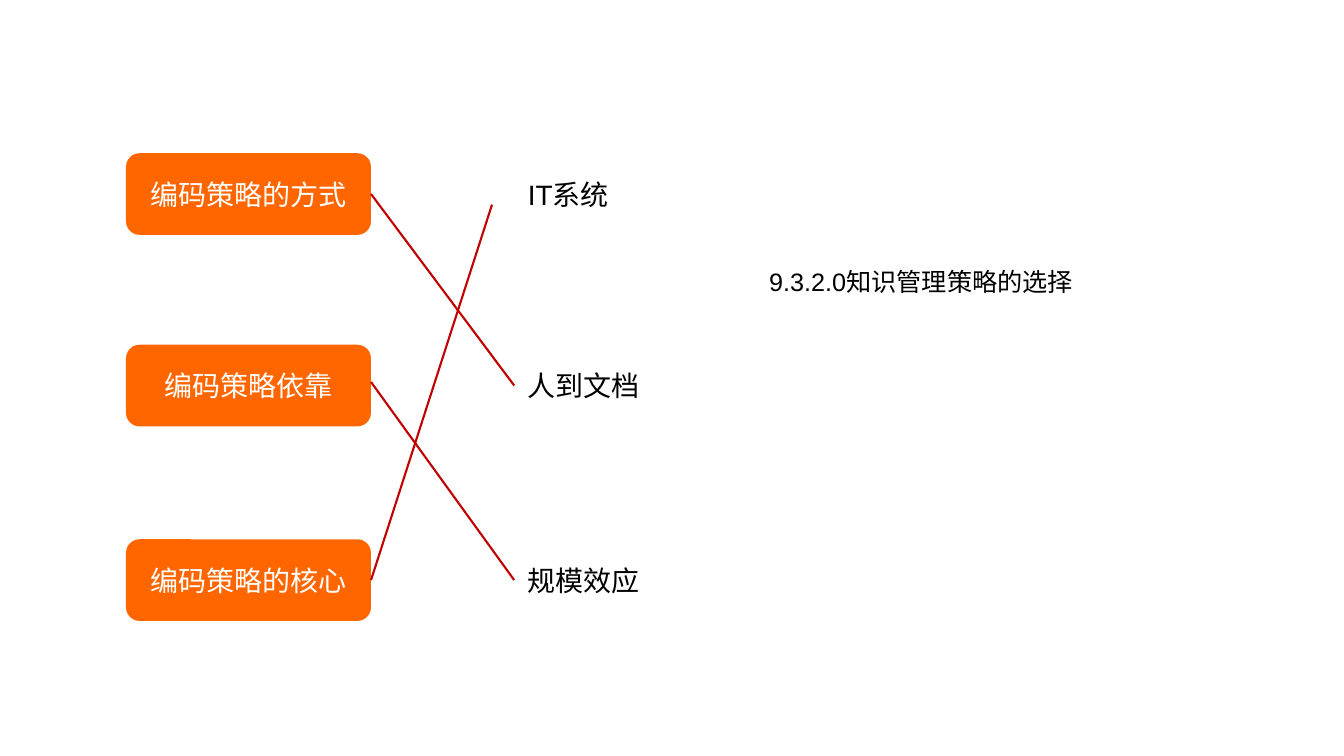
import lxml.etree
import pptx
import pptx.dml.color
import pptx.enum.shapes
import pptx.enum.text
import pptx.oxml.ns
import pptx.util
from pptx.util import Inches

ORANGE = pptx.dml.color.RGBColor(0xFF, 0x66, 0x00)
DARK_RED = pptx.dml.color.RGBColor(0xC0, 0x00, 0x00)
WHITE = pptx.dml.color.RGBColor(0xFF, 0xFF, 0xFF)
BLACK = pptx.dml.color.RGBColor(0x00, 0x00, 0x00)
LATIN_FONT = "Arial"
CHINESE_FONT = "Noto Sans CJK JP"
ALIGN = pptx.enum.text.PP_ALIGN
ANCHOR = pptx.enum.text.MSO_ANCHOR

# Strategy, answer, answer width, vertical centre of the row
ROWS = [
    ("编码策略的方式", "IT系统", 7.15, 1.925),
    ("编码策略依靠", "人到文档", 6.59, 3.825),
    ("编码策略的核心", "规模效应", 6.59, 5.755),
]
STRATEGY_LEFT, STRATEGY_WIDTH, STRATEGY_HEIGHT = 1.25, 2.43, 0.81
ANSWER_LEFT, ANSWER_HEIGHT = 5.1, 0.75
LEFT_SIDE, RIGHT_SIDE = 1, 3


def write_text(shape, text, size=20, color=BLACK, align=ALIGN.LEFT, anchor=ANCHOR.MIDDLE):
    frame = shape.text_frame
    frame.word_wrap = True
    frame.vertical_anchor = anchor
    paragraph = frame.paragraphs[0]
    paragraph.alignment = align
    run = paragraph.add_run()
    run.text = text
    run.font.size = pptx.util.Pt(size)
    run.font.color.rgb = color
    run.font.name = LATIN_FONT
    properties = run._r.get_or_add_rPr()
    east_asian = lxml.etree.SubElement(properties, pptx.oxml.ns.qn("a:ea"))
    east_asian.set("typeface", CHINESE_FONT)


def add_rounded_box(slide, left, middle, width, height, text, fill=None, **text_format):
    shape = slide.shapes.add_shape(
        pptx.enum.shapes.MSO_SHAPE.ROUNDED_RECTANGLE,
        Inches(left), Inches(middle - height / 2), Inches(width), Inches(height),
    )
    shape.shadow.inherit = False
    shape.line.fill.background()
    if fill is None:
        shape.fill.background()
    else:
        shape.fill.solid()
        shape.fill.fore_color.rgb = fill
    write_text(shape, text, **text_format)
    return shape


def add_match_line(slide, start, end, strategy=None, answer=None):
    """Draw a line, joined to the strategy and answer boxes that are given."""
    line = slide.shapes.add_connector(
        pptx.enum.shapes.MSO_CONNECTOR.STRAIGHT,
        Inches(start[0]), Inches(start[1]), Inches(end[0]), Inches(end[1]),
    )
    line.line.color.rgb = DARK_RED
    line.line.width = pptx.util.Pt(1.5)
    lxml.etree.SubElement(line._element.spPr, pptx.oxml.ns.qn("a:effectLst"))
    if strategy is not None:
        line.begin_connect(strategy, RIGHT_SIDE)
    if answer is not None:
        line.end_connect(answer, LEFT_SIDE)


def add_caption(slide, text):
    caption = slide.shapes.add_textbox(Inches(7.53), Inches(2.59), Inches(3.25), Inches(0.4))
    write_text(caption, text, size=18, anchor=ANCHOR.TOP)
    caption.text_frame.auto_size = pptx.enum.text.MSO_AUTO_SIZE.SHAPE_TO_FIT_TEXT


def main():
    presentation = pptx.Presentation()
    presentation.slide_width = Inches(13.33)
    presentation.slide_height = Inches(7.5)
    slide = presentation.slides.add_slide(presentation.slide_layouts.get_by_name("Blank"))

    strategies = [
        add_rounded_box(slide, STRATEGY_LEFT, middle, STRATEGY_WIDTH, STRATEGY_HEIGHT,
                        strategy, fill=ORANGE, color=WHITE, align=ALIGN.CENTER)
        for strategy, _, _, middle in ROWS
    ]
    answers = [
        add_rounded_box(slide, ANSWER_LEFT, middle, width, ANSWER_HEIGHT, answer)
        for _, answer, width, middle in ROWS
    ]

    first, second, third = [middle for _, _, _, middle in ROWS]
    line_left = STRATEGY_LEFT + STRATEGY_WIDTH
    add_match_line(slide, (line_left, first), (ANSWER_LEFT, second), strategies[0], answers[1])
    add_match_line(slide, (line_left, 3.79), (ANSWER_LEFT, third), answer=answers[2])
    add_match_line(slide, (line_left, third), (4.88, 2.03), strategy=strategies[2])

    add_caption(slide, "9.3.2.0知识管理策略的选择")
    presentation.save("out.pptx")


if __name__ == "__main__":
    main()
